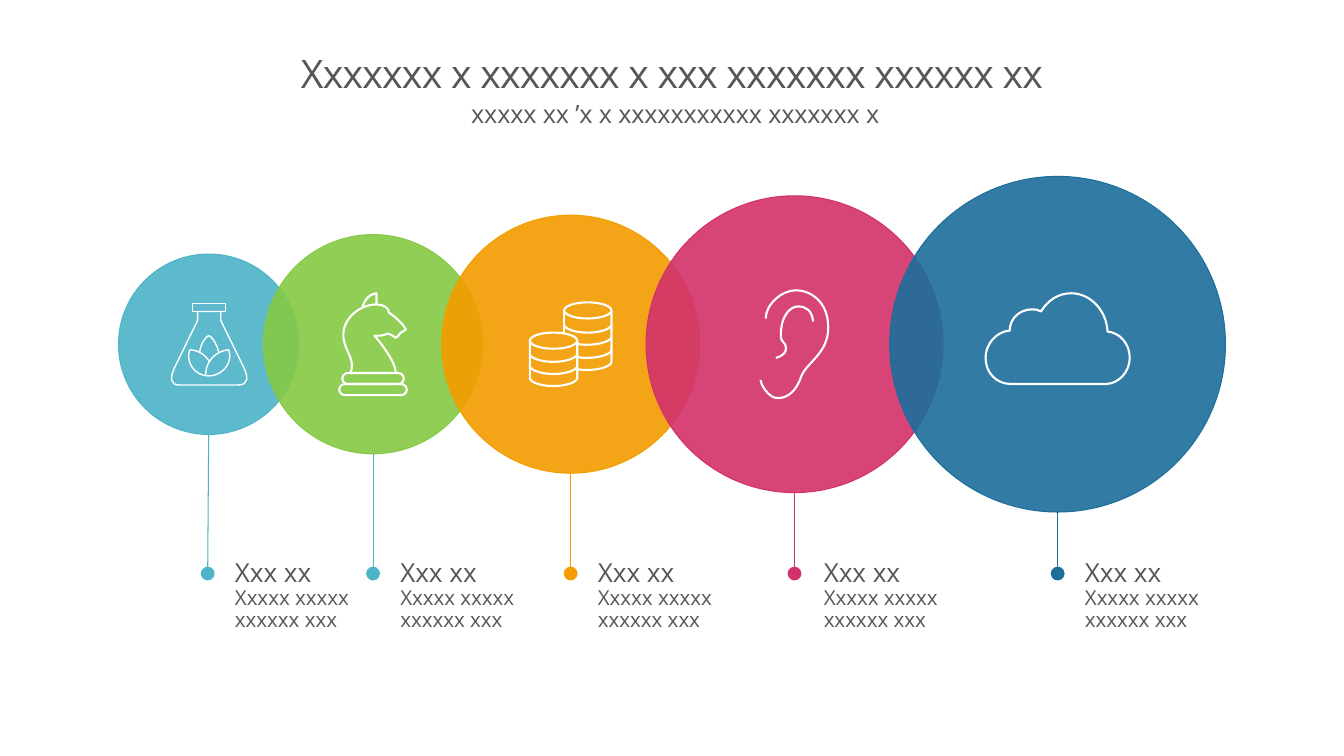
import pptx
import pptx.dml.color
import pptx.enum.shapes
import pptx.enum.text
import pptx.oxml
import pptx.oxml.ns
import pptx.util

Inches, Pt = pptx.util.Inches, pptx.util.Pt
SHAPE = pptx.enum.shapes.MSO_SHAPE
STRAIGHT = pptx.enum.shapes.MSO_CONNECTOR.STRAIGHT
ALIGN = pptx.enum.text.PP_ALIGN
ANCHOR = pptx.enum.text.MSO_ANCHOR
qn = pptx.oxml.ns.qn
NS = pptx.oxml.ns.nsdecls("a")

FONT = "Open Sans"
COLORS = {"teal": "4DB3C7", "green": "85CA46", "orange": "F49D00", "pink": "D2326B",
          "blue": "1D6E9B", "text": "57565A", "white": "FFFFFF"}
SMALLEST, LARGEST = 1.79, 3.33
ROW_Y = 2.52 + SMALLEST / 2
LABEL_Y, DOT_Y = 5.51, 5.69


def rim(right, left, y):
    """Return the lower front edge of a coin."""
    mid = (right + left) / 2
    return [(right, y), (right, y + 4, mid + 13, y + 8, mid, y + 8),
            (mid - 13, y + 8, left, y + 4, left, y)]


def hidden_rim(y):
    """Return the edge of a back coin, cut off by the front stack."""
    return [(81, y), (81, y + 4, 70, y + 8, 57, y + 8), (54, y + 8, 50, y + 8, 47, y + 7)]


# Icon units are hundredths of an inch. In a stroke, a pair is a straight
# segment and six numbers are a cubic curve.
FLASK = {
    "size": (78, 81), "width": 1,
    "shapes": [(SHAPE.RECTANGLE, 23, 0, 33, 8)],
    "strokes": [
        [(74, 64), (51, 17), (51, 8), (28, 8), (28, 17), (5, 64), (1, 73, 0, 81, 10, 81),
         (68, 81), (79, 81, 78, 73, 74, 64)],
        [(59, 46), (59, 48, 60, 50, 60, 52), (60, 63, 50, 72, 39, 72),
         (28, 72, 19, 63, 19, 52), (19, 50, 20, 48, 20, 46)],
        [(40, 58), (36, 51, 28, 46, 20, 46)],
        [(59, 46), (46, 47, 36, 58, 36, 70), (36, 72)],
        [(30, 49), (31, 38, 38, 32, 39, 32), (41, 32, 47, 39, 49, 49)]]}
KNIGHT = {
    "size": (67, 101), "width": 1.5,
    "shapes": [(SHAPE.ROUNDED_RECTANGLE, 3, 79, 61, 11),
               (SHAPE.ROUNDED_RECTANGLE, 0, 90, 67, 11)],
    "strokes": [
        [(11, 79), (17, 65, 4, 57, 4, 41), (4, 25, 20, 11, 37, 11), (44, 11, 50, 15, 49, 19),
         (52, 21, 63, 29, 66, 36), (61, 39), (61, 39, 57, 44, 56, 44),
         (54, 43, 50, 40, 48, 40), (46, 40, 45, 42, 40, 42), (35, 42),
         (35, 42, 56, 66, 56, 79)],
        [(23, 14), (23, 14, 26, 1, 37, 0), (37, 11)]]}
COINS = {
    "size": (81, 83), "width": 1.5,
    "shapes": [(SHAPE.OVAL, 0, 30, 47, 16), (SHAPE.OVAL, 34, 0, 47, 16)],
    "strokes": [
        [(47, 38)] + rim(47, 0, 75) + [(0, 38)], rim(47, 0, 63), rim(47, 0, 51),
        [(34, 31), (34, 8)], [(81, 8)] + hidden_rim(59),
        hidden_rim(47), hidden_rim(34), rim(81, 34, 22)]}
EAR = {
    "size": (67, 107), "width": 1.5, "shapes": [],
    "strokes": [
        [(5, 28), (5, 14, 21, 0, 35, 0), (48, 0, 67, 10, 67, 37), (67, 63, 45, 72, 40, 86),
         (35, 101, 26, 107, 17, 107), (8, 107, 0, 94, 0, 89)],
        [(52, 31), (51, 20, 45, 16, 37, 16), (30, 16, 20, 24, 20, 45),
         (20, 53, 25, 50, 25, 58), (25, 65, 15, 67, 15, 67)]]}
CLOUD = {
    "size": (143, 101), "width": 1.5, "shapes": [],
    "strokes": [
        [(121, 38), (120, 17, 104, 0, 85, 0), (72, 0, 62, 7, 55, 18), (52, 16, 49, 16, 46, 16),
         (34, 16, 24, 25, 24, 37), (11, 38, 0, 50, 0, 64), (0, 79, 11, 90, 25, 90),
         (119, 90), (132, 90, 143, 78, 143, 64), (143, 50, 133, 39, 121, 38)]]}

# Circle centre, dot x, text x, circle colour, connector colour, icon
STEPS = [(2.07, 2.06, 2.06, "teal", "teal", FLASK),
         (3.7, 3.7, 3.7, "green", "teal", KNIGHT),
         (5.66, 5.66, 5.66, "orange", "orange", COINS),
         (7.88, 7.88, 7.9, "pink", "pink", EAR),
         (10.49, 10.49, 10.49, "blue", "blue", CLOUD)]


def rgb(name):
    return pptx.dml.color.RGBColor.from_string(COLORS[name])


def outline(sp, color, width):
    sp.line.color.rgb = rgb(color)
    sp.line.width = Pt(width)


def add_text(s, box, lines, line_spacing, align=ALIGN.LEFT, anchor=ANCHOR.TOP,
             margins=(0, 0, 0, 0), spacing=0):
    """Add a text box; lines are (text, size) and spacing is in hundredths of a point."""
    tf = s.shapes.add_textbox(*map(Inches, box)).text_frame
    tf.word_wrap = True
    tf.vertical_anchor = anchor
    tf.margin_left, tf.margin_top, tf.margin_right, tf.margin_bottom = map(Inches, margins)
    tf.text = "\n".join(text for text, _ in lines)
    for p, (_, size) in zip(tf.paragraphs, lines):
        p.alignment, p.line_spacing = align, line_spacing
        for r in p.runs:
            r.font.name, r.font.size = FONT, Pt(size)
            r.font.color.rgb = rgb("text")
            if spacing:
                r._r.get_or_add_rPr().set("spc", str(spacing))


def add_line(shapes, x1, y1, x2, y2):
    line = shapes.add_connector(STRAIGHT, *map(Inches, (x1, y1, x2, y2)))
    line._element.spPr.append(pptx.oxml.parse_xml(f"<a:effectLst {NS}/>"))
    return line


def add_stroke(shapes, left, top, stroke):
    """Build a freeform, then join the points of each curve into one cubic segment."""
    points = [(Inches(left + x / 100), Inches(top + y / 100))
              for seg in stroke for x, y in zip(seg[::2], seg[1::2])]
    builder = shapes.build_freeform(*points[0])
    builder.add_line_segments(points[1:], close=stroke[0] == stroke[-1][-2:])
    sp = builder.convert_to_shape()
    segments = iter(list(sp._element.iter(qn("a:lnTo"))))
    for seg in stroke[1:]:
        first = next(segments)
        if len(seg) == 6:
            curve = pptx.oxml.parse_xml(f"<a:cubicBezTo {NS}/>")
            first.addprevious(curve)
            for part in (first, next(segments), next(segments)):
                curve.append(part[0])
                part.getparent().remove(part)
    return sp


def add_icon(s, cx, cy, icon):
    """Draw a white line icon centred on the given point."""
    w, h = icon["size"]
    left, top = cx - w / 200, cy - h / 200
    several = len(icon["shapes"]) + len(icon["strokes"]) > 1
    shapes = s.shapes.add_group_shape().shapes if several else s.shapes
    outlines = []
    for kind, x, y, pw, ph in icon["shapes"]:
        sp = shapes.add_shape(kind, Inches(left + x / 100), Inches(top + y / 100),
                              Inches(pw / 100), Inches(ph / 100))
        if kind == SHAPE.ROUNDED_RECTANGLE:
            sp.adjustments[0] = 0.5
        outlines.append(sp)
    for stroke in icon["strokes"]:
        if len(stroke) == 2 and len(stroke[1]) == 2:
            (x1, y1), (x2, y2) = stroke
            line = add_line(shapes, left + x1 / 100, top + y1 / 100,
                            left + x2 / 100, top + y2 / 100)
            outline(line, "white", icon["width"])
        else:
            outlines.append(add_stroke(shapes, left, top, stroke))
    for sp in outlines:
        sp.shadow.inherit = False
        sp.fill.background()
        outline(sp, "white", icon["width"])


def add_circle(s, cx, cy, size, color):
    sp = s.shapes.add_shape(SHAPE.OVAL, Inches(cx - size / 2), Inches(cy - size / 2),
                            Inches(size), Inches(size))
    sp.shadow.inherit = False
    sp.fill.solid()
    sp.fill.fore_color.rgb = rgb(color)
    fill_color = sp._element.spPr.find(qn("a:solidFill"))[0]
    fill_color.append(pptx.oxml.parse_xml(f'<a:alpha {NS} val="91000"/>'))
    outline(sp, color, 0.75)


def add_label(s, cx, top, dot_x, text_x, color):
    """Add a dotted connector below a circle and the text beside its end."""
    line = add_line(s.shapes, cx, top, dot_x, DOT_Y)
    outline(line, color, 0.75)
    line._element.spPr.find(qn("a:ln")).append(
        pptx.oxml.parse_xml(f'<a:tailEnd {NS} type="oval" w="lg" len="lg"/>'))
    add_text(s, (text_x, LABEL_Y, 2.12, 0.84),
             [("Xxx xx", 18.67), ("Xxxxx xxxxx xxxxxx xxx", 14.67)], 0.89,
             margins=(0.27, 0.05, 0.27, 0.07))


def add_heading(s, left, top, width):
    add_text(s, (left, top, width, 0.89), [("Xxxxxxx x xxxxxxx x xxx xxxxxxx xxxxxx xx", 28)],
             0.86, ALIGN.CENTER, ANCHOR.MIDDLE, spacing=-50)
    add_text(s, (left, top + 0.71, width, 0.44),
             [(" xxxxx xx ’x x xxxxxxxxxxx xxxxxxx x", 18)], 0.86, ALIGN.CENTER, spacing=-10)


def main():
    prs = pptx.Presentation()
    prs.slide_width, prs.slide_height = Inches(13.33), Inches(7.5)
    s = prs.slides.add_slide(prs.slide_layouts[6])
    add_heading(s, 1, 0.31, 11.33)
    growth = (LARGEST - SMALLEST) / (len(STEPS) - 1)
    sizes = [SMALLEST + growth * i for i in range(len(STEPS))]
    for (cx, _, _, color, _, _), size in zip(STEPS, sizes):
        add_circle(s, cx, ROW_Y, size, color)
    for cx, *_, icon in STEPS:
        add_icon(s, cx, ROW_Y, icon)
    for (cx, dot_x, text_x, _, color, _), size in zip(STEPS, sizes):
        add_label(s, cx, ROW_Y + size / 2, dot_x, text_x, color)
    prs.save("out.pptx")


if __name__ == "__main__":
    main()
